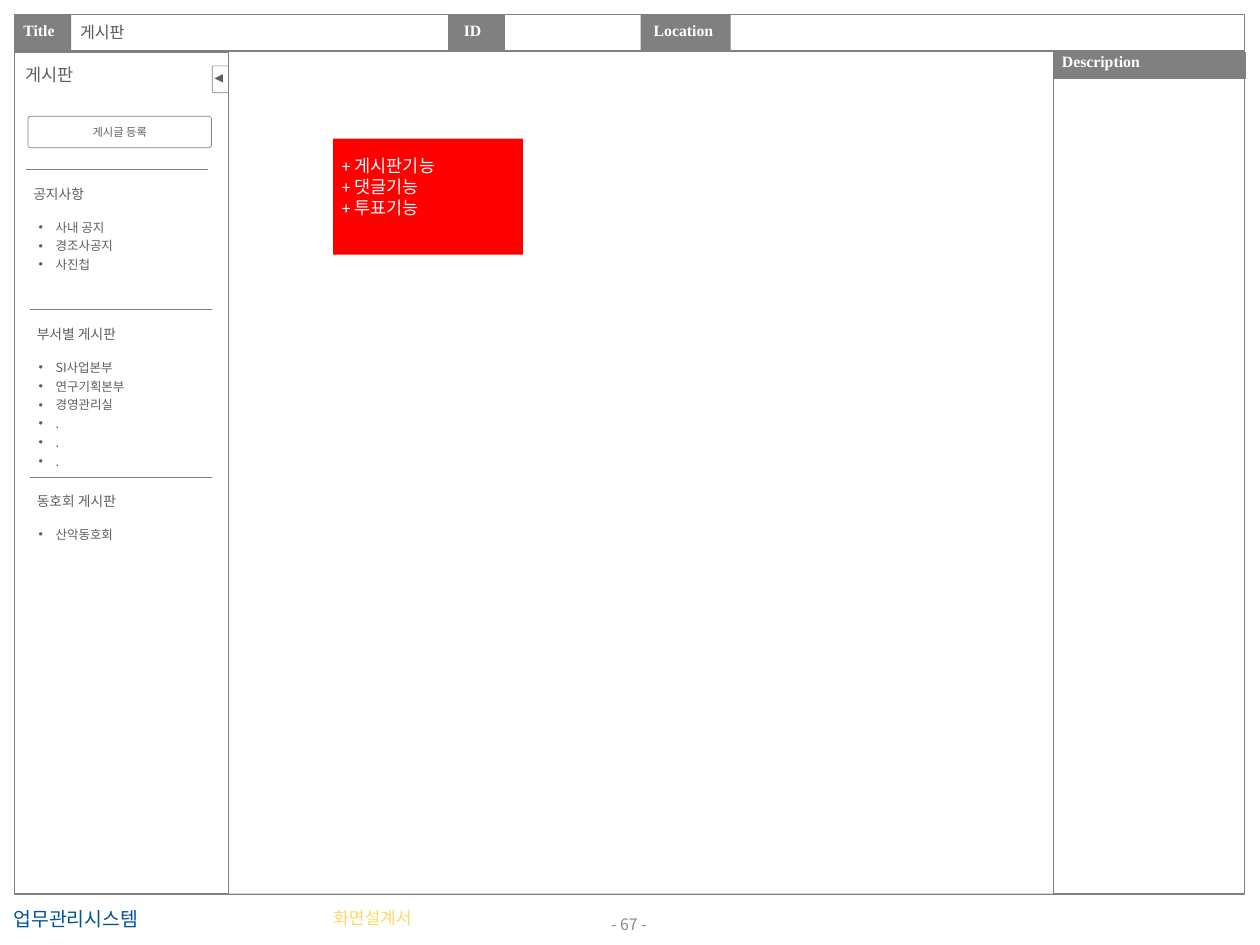
"""Build the bulletin board screen of a work management system's design document."""
import lxml.etree
import pptx
import pptx.dml.color
import pptx.enum.shapes
import pptx.enum.text
import pptx.oxml.ns
import pptx.util

Cm, Pt, qn = pptx.util.Cm, pptx.util.Pt, pptx.oxml.ns.qn
SHAPE = pptx.enum.shapes.MSO_SHAPE
ANCHOR = pptx.enum.text.MSO_ANCHOR
ALIGN = pptx.enum.text.PP_ALIGN
FIT = pptx.enum.text.MSO_AUTO_SIZE
SERIF, SANS, LATO, CALIBRI = "Times New Roman", "Noto Sans CJK KR", "Lato", "Calibri"
GRAY, INK, WHITE = "808080", "5F5F5F", "FFFFFF"
TIGHT = (0.2, 0.1, 0.2, 0.1)


def rgb(value):
    return pptx.dml.color.RGBColor.from_string(value)


def put(obj, values):
    for name, value in values.items():
        setattr(obj, name, value)


class Screen:
    """Style and current slide, with one method for each kind of element."""

    def __init__(self, s):
        self.s = s
        self.east_asian = SANS
        self.bullet_indent = 0.48

    def fill_text(self, sp, lines, size, font, color, bold=False, align=ALIGN.LEFT,
                  anchor=ANCHOR.TOP, ins=(0.25, 0.13, 0.25, 0.13), wrap=True,
                  fit=FIT.NONE, spacing=1.0, bullet=False):
        tf = sp.text_frame
        left, top, right, bottom = (Cm(v) for v in ins)
        put(tf, dict(margin_left=left, margin_top=top, margin_right=right,
                     margin_bottom=bottom, word_wrap=wrap, auto_size=fit,
                     vertical_anchor=anchor))
        for i, line in enumerate(lines):
            p = tf.add_paragraph() if i else tf.paragraphs[0]
            put(p, dict(alignment=align, line_spacing=spacing,
                        space_before=Pt(0), space_after=Pt(0)))
            pPr = p._p.get_or_add_pPr()
            indent = Cm(self.bullet_indent) if bullet else 0
            pPr.set("marL", str(indent))
            pPr.set("indent", str(-indent))
            if bullet:
                lxml.etree.SubElement(pPr, qn("a:buFont")).set("typeface", "Arial")
                lxml.etree.SubElement(pPr, qn("a:buChar")).set("char", "•")
            else:
                lxml.etree.SubElement(pPr, qn("a:buNone"))
            r = p.add_run()
            r.text = line
            put(r.font, dict(size=Pt(size), name=font, bold=bold))
            r.font.color.rgb = rgb(color)
            ea = lxml.etree.SubElement(r._r.get_or_add_rPr(), qn("a:ea"))
            ea.set("typeface", self.east_asian)

    def shape(self, box, fill=None, line=None, width=0.5, kind=SHAPE.RECTANGLE):
        sp = self.s.shapes.add_shape(kind, *(Cm(v) for v in box))
        sp.shadow.inherit = False
        if kind == SHAPE.ROUNDED_RECTANGLE:
            sp.adjustments[0] = 0.088
        if fill:
            sp.fill.solid()
            sp.fill.fore_color.rgb = rgb(fill)
        else:
            sp.fill.background()
        if line:
            sp.line.color.rgb = rgb(line)
            sp.line.width = Pt(width)
        else:
            sp.line.fill.background()
        return sp

    def label(self, box, text, align=ALIGN.LEFT, anchor=ANCHOR.MIDDLE, right=0.25):
        self.fill_text(self.shape(box, GRAY), [text], 12.6, SERIF, WHITE, bold=True,
                       align=align, anchor=anchor, spacing=0.75,
                       ins=(0.25, 0.13, right, 0.13))

    def line(self, x1, y1, x2, y2, width=0.5):
        c = self.s.shapes.add_connector(pptx.enum.shapes.MSO_CONNECTOR.STRAIGHT,
                                        Cm(x1), Cm(y1), Cm(x2), Cm(y2))
        c.line.color.rgb = rgb(GRAY)
        c.line.width = Pt(width)
        lxml.etree.SubElement(c._element.spPr, qn("a:effectLst"))

    def text(self, box, text, size, font, color, **style):
        sp = self.s.shapes.add_textbox(*(Cm(v) for v in box))
        self.fill_text(sp, [text], size, font, color, **style)

    def holder(self, sp, box, lines, size, font, color, **style):
        left, top, width, height = (Cm(v) for v in box)
        put(sp, dict(left=left, top=top, width=width, height=height))
        self.fill_text(sp, lines, size, font, color, **style)


def main():
    prs = pptx.Presentation()
    put(prs, dict(slide_width=Cm(35.56), slide_height=Cm(26.67)))
    s = prs.slides.add_slide(prs.slide_layouts[4])
    screen = Screen(s)
    heading, page_title, *lists = s.placeholders

    screen.label((0.41, 0.43, 1.6, 0.99), "Title")
    screen.label((29.72, 1.47, 5.44, 0.76), "Description", anchor=ANCHOR.TOP)
    screen.shape((0.41, 0.41, 34.72, 24.82), line=GRAY, width=1)
    screen.line(29.69, 1.45, 29.69, 25.22, 1.5)
    screen.line(0.41, 1.47, 35.13, 1.47, 1.5)
    screen.text((13.84, 25.7, 7.82, 0.79), "- 67 -", 12.6, SANS, "8C8C8C",
                align=ALIGN.CENTER, anchor=ANCHOR.MIDDLE, ins=(0.15,) * 4)
    screen.text((8.03, 25.45, 3.91, 1.09), "화면설계서", 13.6, SANS, "FFD966",
                align=ALIGN.RIGHT, ins=(0.33, 0.15, 0.33, 0.15))
    screen.text((0.13, 25.48, 6.91, 0.91), "업무관리시스템", 15.5, SANS, "00529B",
                fit=FIT.SHAPE_TO_FIT_TEXT)
    screen.label((12.65, 0.43, 1.6, 0.99), "ID", ALIGN.CENTER, right=0.47)
    screen.label((18.08, 0.43, 2.54, 0.99), "Location", ALIGN.CENTER, right=0.37)

    toggle = screen.shape((5.84, 2.01, 0.76, 0.46), WHITE, GRAY,
                          kind=SHAPE.ROUNDED_RECTANGLE)
    toggle.rotation = 90
    screen.fill_text(toggle, ["▼"], 9, LATO, INK, align=ALIGN.CENTER,
                     anchor=ANCHOR.MIDDLE, ins=(0, 0.03, 0, 0.03))
    screen.shape((6.45, 1.47, 23.27, 23.75), WHITE)
    for x in (6.43, 29.74):
        screen.line(x, 25.22, x, 1.47)
    screen.line(0.43, 1.42, 35.15, 1.42)

    screen.holder(page_title, (2.01, 0.41, 10.59, 1.04), ["게시판"], 12.9, CALIBRI,
                  "595959", anchor=ANCHOR.MIDDLE, spacing=0.9)
    screen.holder(heading, (0.51, 1.7, 1.9, 0.81), ["게시판"], 14, LATO, INK,
                  ins=TIGHT, wrap=False, fit=FIT.SHAPE_TO_FIT_TEXT)
    button = screen.shape((0.79, 3.28, 5.18, 0.89), WHITE, GRAY,
                          kind=SHAPE.ROUNDED_RECTANGLE)
    screen.fill_text(button, ["게시글 등록"], 9, LATO, INK, align=ALIGN.CENTER,
                     anchor=ANCHOR.MIDDLE, wrap=False)

    sections = [
        (0.74, 4.78, 1.98, "공지사항", ["사내 공지", "경조사공지", "사진첩"]),
        (0.84, 8.74, 2.87, "부서별 게시판",
         ["SI사업본부", "연구기획본부", "경영관리실", ".", ".", "."]),
        (0.84, 13.46, 2.87, "동호회 게시판", ["산악동호회"]),
    ]
    for sp, (x, y, width, name, items) in zip(lists, sections):
        screen.line(x, y, x + 5.14, y)
        screen.text((x, y + 0.35, width, 0.69), name, 11, LATO, INK, ins=TIGHT,
                    wrap=False, fit=FIT.SHAPE_TO_FIT_TEXT)
        screen.holder(sp, (0.84, y + 1.18, 4.8, 0.26 + 0.53 * len(items)), items, 10,
                      SANS, INK, spacing=Pt(15), bullet=True,
                      fit=FIT.SHAPE_TO_FIT_TEXT)

    note = screen.shape((9.4, 3.91, 5.36, 3.28), "FF0000")
    screen.fill_text(note, ["+ 게시판기능", "+ 댓글기능", "+ 투표기능"], 14, CALIBRI,
                     WHITE, anchor=ANCHOR.MIDDLE, ins=(0.25, 0.13, 0.25, 0.72))
    prs.save("out.pptx")


if __name__ == "__main__":
    main()
